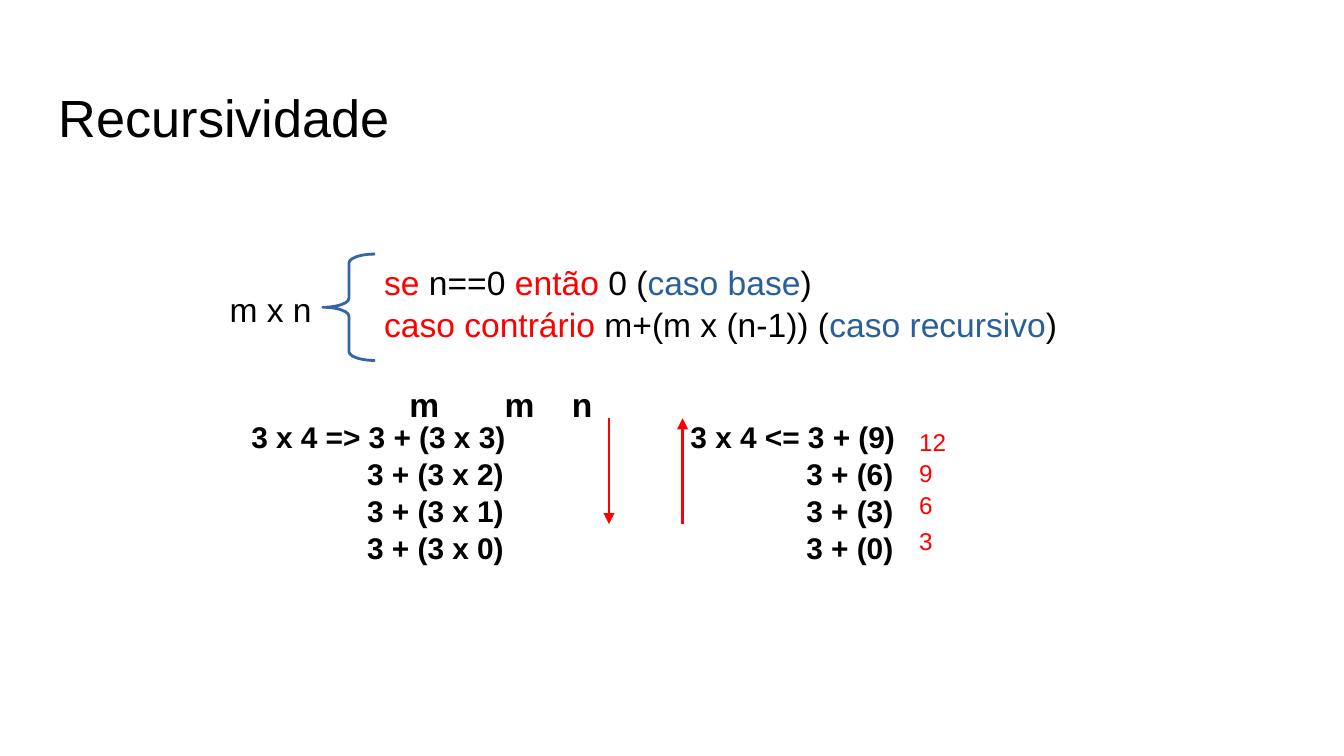
import pptx
import pptx.dml.color
import pptx.enum.shapes
import pptx.enum.text
import pptx.oxml.ns
import pptx.util
from lxml import etree

Cm = pptx.util.Cm
Pt = pptx.util.Pt
qn = pptx.oxml.ns.qn
BLACK = pptx.dml.color.RGBColor(0x00, 0x00, 0x00)
RED = pptx.dml.color.RGBColor(0xFF, 0x00, 0x00)
BLUE = pptx.dml.color.RGBColor(0x2A, 0x60, 0x99)
BRACE_BLUE = pptx.dml.color.RGBColor(0x34, 0x65, 0xA4)


def add_run(p, text, size, color=BLACK, bold=False):
    r = p.add_run()
    r.text = text
    r.font.name = "Arial"
    r.font.size = Pt(size)
    r.font.bold = bold
    r.font.color.rgb = color


def add_text(x, y, w, h, lines, size, bold=False, indent=0):
    tf = slide.shapes.add_textbox(Cm(x), Cm(y), Cm(w), Cm(h)).text_frame
    tf.word_wrap = True
    for i, runs in enumerate(lines):
        p = tf.paragraphs[0] if i == 0 else tf.add_paragraph()
        p.line_spacing = 1.04
        if i and indent:
            p._p.get_or_add_pPr().set("marL", str(Cm(indent)))
        for text, color in runs:
            add_run(p, text, size, color, bold)
    return tf


prs = pptx.Presentation()
prs.slide_width = Cm(25.4)
prs.slide_height = Cm(14.28)
slide = prs.slides.add_slide(prs.slide_layouts[5])

title = slide.shapes.title
title.left, title.top, title.width, title.height = Cm(0.86), Cm(1.24), Cm(23.67), Cm(1.6)
tf = title.text_frame
tf.margin_left = tf.margin_right = tf.margin_bottom = Cm(0.25)
tf.margin_top = Cm(0.36)
tf.vertical_anchor = pptx.enum.text.MSO_ANCHOR.TOP
p = tf.paragraphs[0]
p.alignment = pptx.enum.text.PP_ALIGN.LEFT
add_run(p, "Recursividade", 28)

add_text(4.09, 5.31, 2.24, 0.97, [[("m x n", BLACK)]], 18)
add_text(7.01, 4.8, 15.62, 1.68, [
    [("se", RED), (" n==0 ", BLACK), ("então", RED), (" 0 (", BLACK),
     ("caso base", BLUE), (")", BLACK)],
    [("caso contrário", RED), (" m+(m x (n-1)) (", BLACK),
     ("caso recursivo", BLUE), (")", BLACK)],
], 18)

brace = slide.shapes.add_shape(pptx.enum.shapes.MSO_SHAPE.LEFT_BRACE,
                               Cm(6.1), Cm(4.8), Cm(0.99), Cm(2.01))
brace.shadow.inherit = False
brace.fill.background()
brace.line.color.rgb = BRACE_BLUE
brace.line.width = Pt(1.5)
brace.adjustments[0] = 0.17

descent = ["3 x 4 => 3 + (3 x 3)", "3 + (3 x 2)", "3 + (3 x 1)", "3 + (3 x 0)"]
ascent = ["3 x 4 <= 3 + (9)", "3 + (6)", "3 + (3)", "3 + (0)"]
for x, w, steps in [(4.5, 7.26, descent), (12.8, 4.65, ascent)]:
    add_text(x, 7.75, w, 3.15, [[(step, BLACK)] for step in steps], 16, True, 2.19)

tf = add_text(7.49, 7.09, 3.96, 0.97, [[("m\tm\tn", BLACK)]], 18, True)
tabs = etree.SubElement(tf.paragraphs[0]._p.get_or_add_pPr(), qn("a:tabLst"))
for pos in (1.8, 3.07):
    etree.SubElement(tabs, qn("a:tab"), pos=str(Cm(pos)), algn="l")

for y, value in [(7.92, "12"), (8.51, "9"), (9.12, "6"), (9.8, "3")]:
    add_text(17.12, y, 1.22, 0.76, [[(value, RED)]], 13)

for x, start, end in [(11.51, 7.9, 9.9), (12.9, 9.9, 7.9)]:
    arrow = slide.shapes.add_connector(pptx.enum.shapes.MSO_CONNECTOR.STRAIGHT,
                                       Cm(x), Cm(start), Cm(x), Cm(end))
    arrow.line.color.rgb = RED
    arrow.line.width = Pt(1.5)
    etree.SubElement(arrow.line._get_or_add_ln(), qn("a:tailEnd"), type="triangle")
    etree.SubElement(arrow._element.spPr, qn("a:effectLst"))

prs.save("out.pptx")
